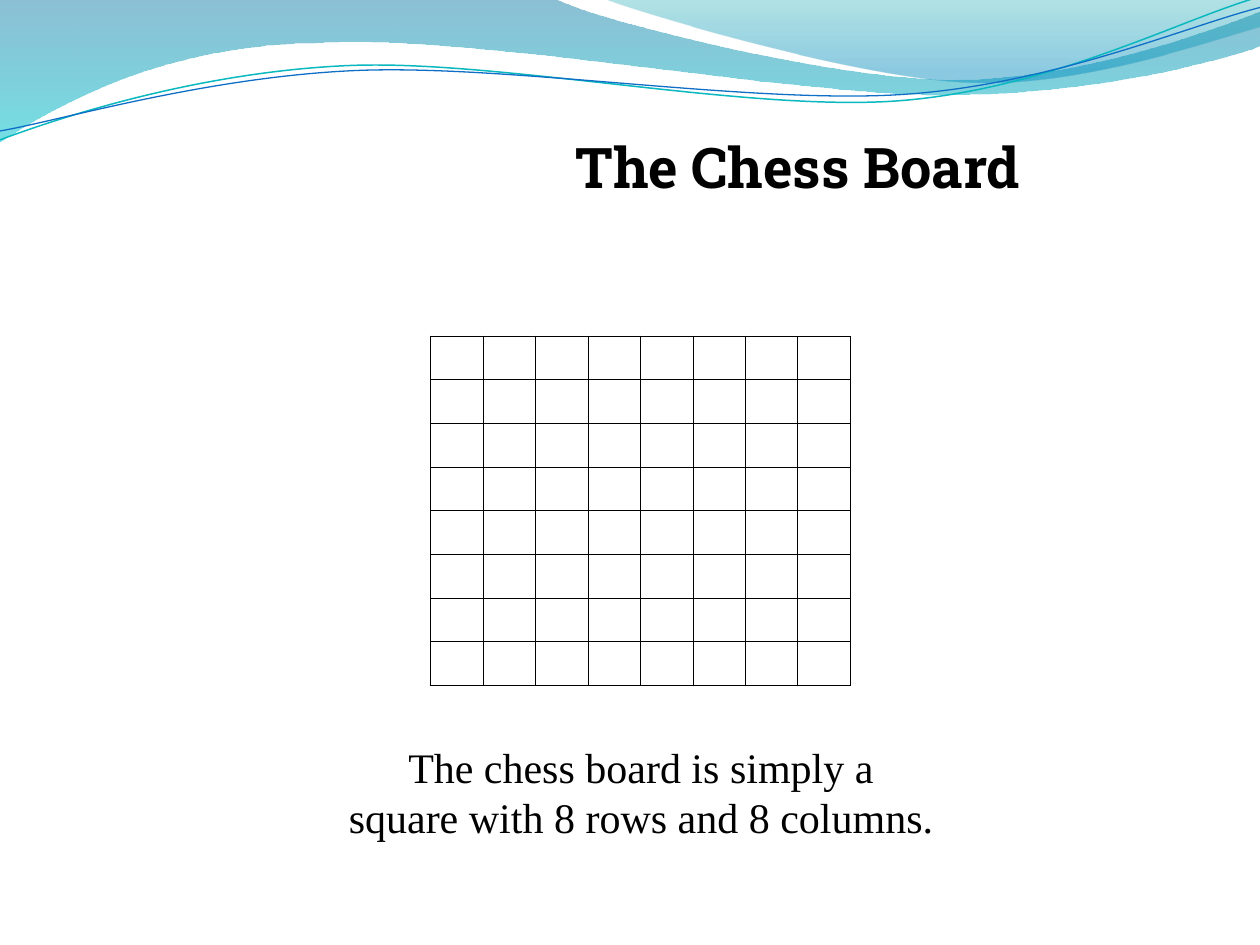
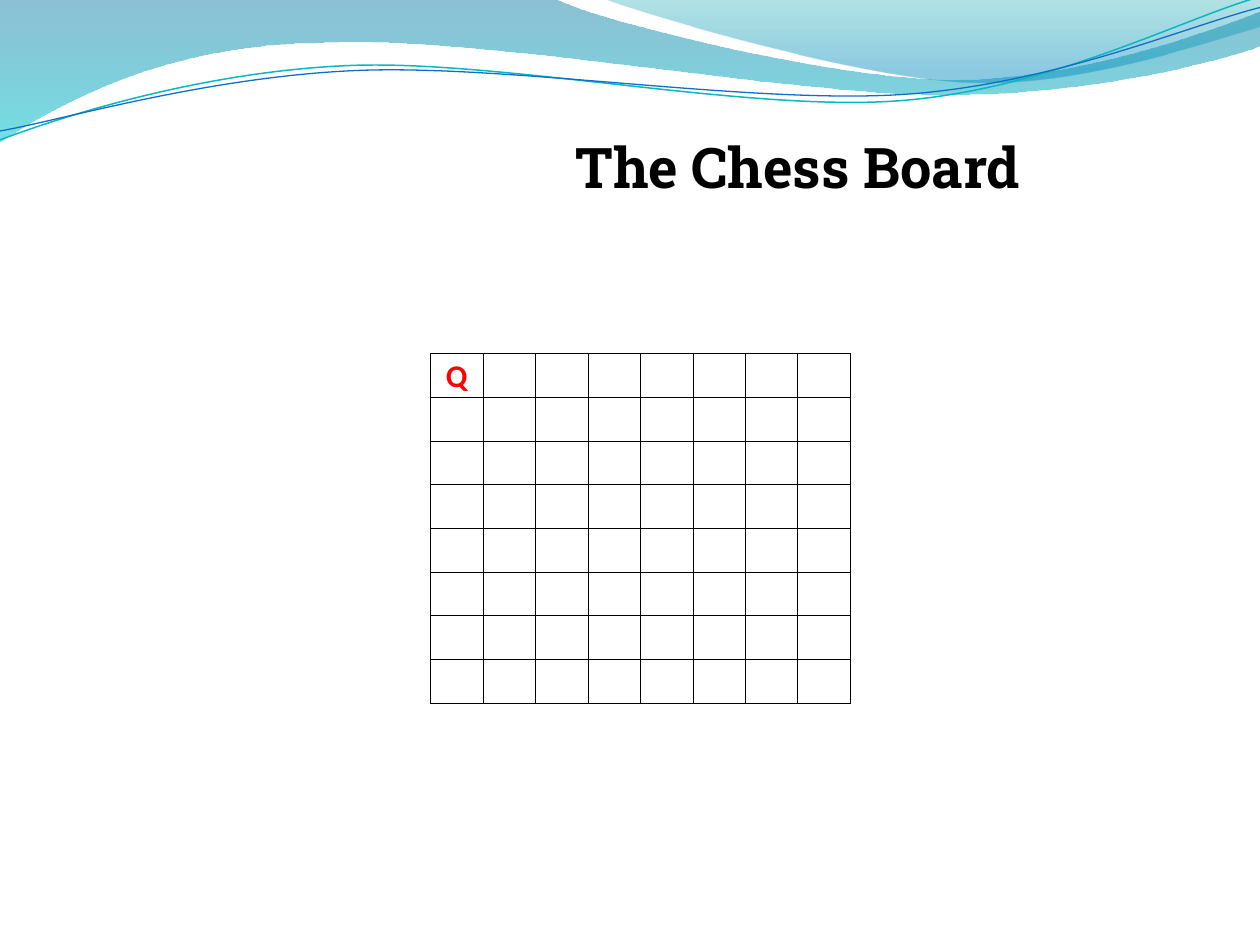
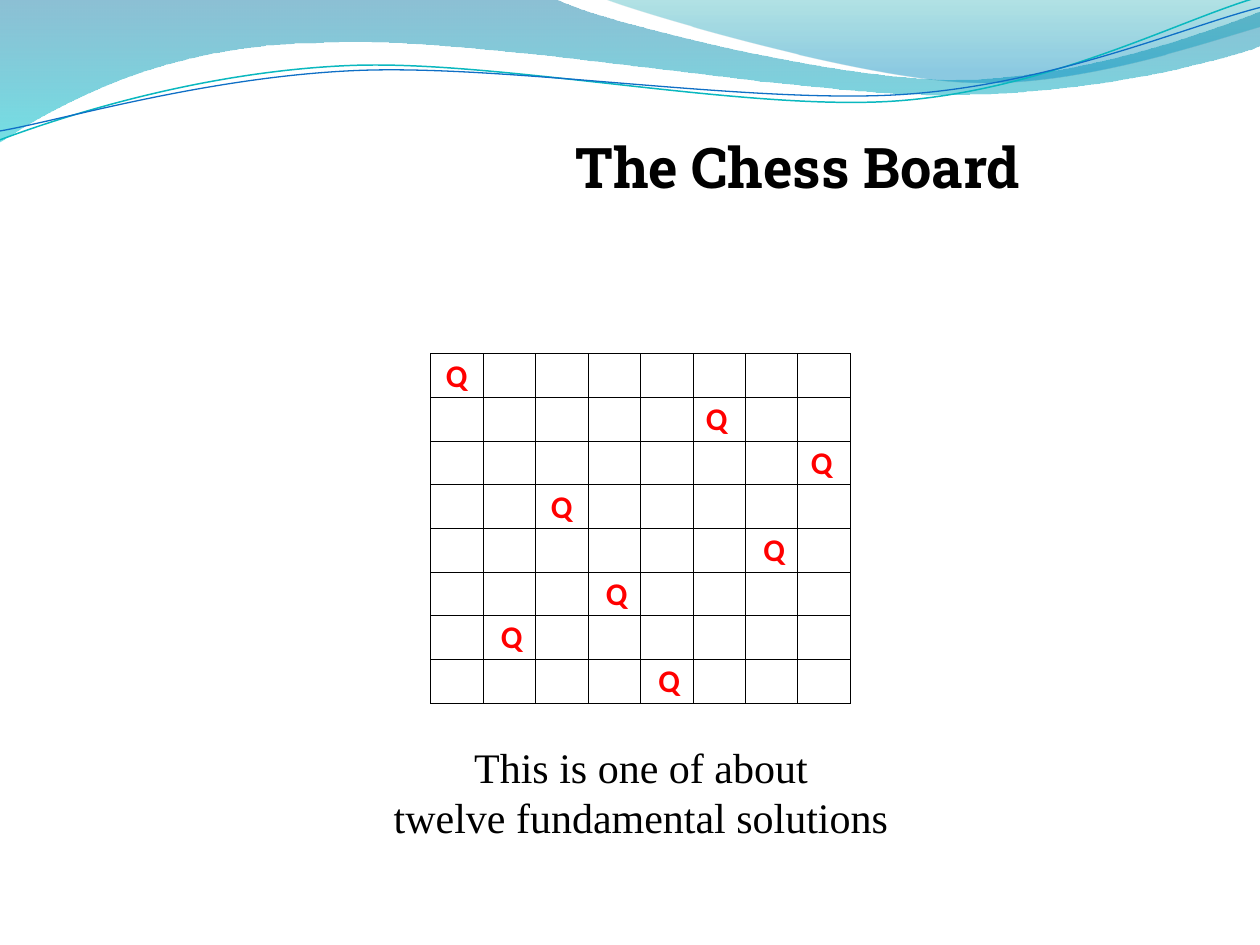
import math

from lxml import etree
from pptx import Presentation
from pptx import util as u
from pptx.dml.color import RGBColor
from pptx.enum import text
from pptx.oxml import ns

BLACK = RGBColor(0x00, 0x00, 0x00)
RED = RGBColor(0xFF, 0x00, 0x00)
DEEP_BLUE = RGBColor(0x00, 0x74, 0xA1)
AQUA = RGBColor(0x00, 0xC6, 0xCF)
TEAL = RGBColor(0x00, 0xA1, 0xA9)
SKY_BLUE = RGBColor(0x00, 0x8B, 0xBF)
LINE_TEAL = RGBColor(0x0A, 0xB8, 0xBF)
LINE_BLUE = RGBColor(0x0F, 0x6F, 0xC6)

SLIDE_WIDTH, SLIDE_HEIGHT = u.Inches(10), u.Inches(7.5)
COLUMN, ROW = SLIDE_WIDTH / 120, SLIDE_HEIGHT / 90
WAVE_UNIT = SLIDE_WIDTH / 10
RIPPLE_TILT = 2.7

BOARD_SIZE = 8
BOARD_LEFT = 41
SQUARE_WIDTH, SQUARE_HEIGHT = 5, 4.16
CAPTION_CENTRE, CAPTION_TOP, CAPTION_HEIGHT = 61.05, 70, 10.9
NUDGE = u.Inches(0.04)

FIRST_QUEEN = [(0, 0)]
SOLUTION = [(0, 0), (5, -1), (7, -1), (2, 0), (6, 1), (3, 1), (1, 1), (4, 1)]

BANDS = [
    ([[(0, -0.01)], [(4.4, -0.01)],
      [(4.76, 0.17), (6.64, 0.63), (7.58, 0.63)],
      [(8.53, 0.63), (9.58, 0.26), (10, 0.09)], [(10.01, 0.36)],
      [(9.83, 0.44), (8.7, 0.76), (7.46, 0.75)],
      [(6.22, 0.75), (3.82, 0.28), (2.57, 0.34)],
      [(1.29, 0.35), (0.46, 0.83), (-0.01, 1.13)]],
     [(0, DEEP_BLUE, 45), (1, AQUA, 55)]),
    ([[(4.79, -0.01)],
      [(5.09, 0.11), (6.82, 0.62), (7.69, 0.65)],
      [(8.56, 0.69), (9.61, 0.32), (10, 0.21)], [(10, 0)]],
     [(0, TEAL, 30), (0.8, SKY_BLUE, 45)]),
]
RIPPLES = [
    ([[(0, 1.11)],
      [(0.48, 0.93), (1.58, 0.57), (2.77, 0.52)],
      [(3.95, 0.47), (5.93, 0.89), (7.13, 0.8)],
      [(8.33, 0.71), (9.38, 0.15), (9.98, -0.02)]],
     (4.99, 0.58), LINE_TEAL, 0.85),
    ([[(0, 1.04)],
      [(0.47, 0.96), (1.64, 0.61), (2.83, 0.56)],
      [(4.03, 0.51), (5.97, 0.83), (7.17, 0.75)],
      [(8.36, 0.67), (9.41, 0.21), (10, 0.06)]],
     (5, 0.59), LINE_BLUE, 0.75),
]


def place(left, top, width, height):
    return [u.Emu(round(length)) for length in
            (left * COLUMN, top * ROW, width * COLUMN, height * ROW)]


def write(frame, words, font, size, color=BLACK, bold=False):
    for index, line in enumerate(words.split("\n")):
        paragraph = frame.add_paragraph() if index else frame.paragraphs[0]
        paragraph.alignment = text.PP_ALIGN.CENTER
        run = paragraph.add_run()
        run.text = line
        run.font.name = font
        run.font.size = u.Pt(size)
        run.font.bold = bold
        run.font.color.rgb = color


def rotate(point, centre, degrees):
    angle = math.radians(degrees)
    x, y = point[0] - centre[0], point[1] - centre[1]
    return (centre[0] + x * math.cos(angle) - y * math.sin(angle),
            centre[1] + x * math.sin(angle) + y * math.cos(angle))


def bend_lines(shape, segments):
    lines = iter(list(shape.element.iter(ns.qn("a:lnTo"))))
    for segment in segments[1:]:
        pieces = [next(lines) for _ in segment]
        if len(pieces) == 3:
            curve = etree.Element(ns.qn("a:cubicBezTo"))
            pieces[0].addprevious(curve)
            for piece in pieces:
                curve.append(piece[0])
                piece.getparent().remove(piece)


def add_outline(slide, segments, close):
    points = [(x * WAVE_UNIT, y * WAVE_UNIT) for segment in segments for x, y in segment]
    builder = slide.shapes.build_freeform(*points[0])
    builder.add_line_segments(points[1:], close=close)
    shape = builder.convert_to_shape()
    bend_lines(shape, segments)
    shape.shadow.inherit = False
    return shape


def add_band(slide, segments, stops):
    shape = add_outline(slide, segments, True)
    shape.line.fill.background()
    shape.fill.gradient()
    shape.fill.gradient_angle = 270
    for stop, (position, color, _) in zip(shape.fill.gradient_stops, stops):
        stop.position = position
        stop.color.rgb = color
    colors = shape.element.spPr.iter(ns.qn("a:srgbClr"))
    for color, (_, _, opacity) in zip(colors, stops):
        etree.SubElement(color, ns.qn("a:alpha"), val=str(opacity * 1000))
    return shape


def add_ripple(slide, segments, centre, color, width):
    level = [[rotate(point, centre, RIPPLE_TILT) for point in segment]
             for segment in segments]
    shape = add_outline(slide, level, False)
    shape.rotation = -RIPPLE_TILT
    shape.fill.background()
    shape.line.color.rgb = color
    shape.line.width = u.Pt(width)
    return shape


def decorate_layout(layout, slide):
    shapes = [add_band(slide, *band) for band in BANDS]
    shapes += [add_ripple(slide, *ripple) for ripple in RIPPLES]
    for shape in shapes:
        layout.shapes.element.append(shape.element)


def set_title(slide, words):
    title = slide.shapes.title
    title.left, title.top, title.width, title.height = place(38, 6.6, 76, 12.4)
    frame = title.text_frame
    frame.auto_size = text.MSO_AUTO_SIZE.NONE
    frame.vertical_anchor = text.MSO_ANCHOR.BOTTOM
    frame.margin_left = frame.margin_right = frame.margin_bottom = 0
    frame.margin_top = u.Inches(0.05)
    write(frame, words, "Roboto Slab", 32, bold=True)


def format_square(cell):
    cell.margin_left = cell.margin_right = cell.margin_top = u.Inches(0.01)
    cell.margin_bottom = 0
    cell.vertical_anchor = text.MSO_ANCHOR.MIDDLE
    properties = cell._tc.get_or_add_tcPr()
    for side in ("a:lnL", "a:lnR", "a:lnT", "a:lnB"):
        line = etree.SubElement(properties, ns.qn(side), w=str(u.Pt(0.5)))
        fill = etree.SubElement(line, ns.qn("a:solidFill"))
        etree.SubElement(fill, ns.qn("a:srgbClr"), val=str(BLACK))
    cell.fill.background()


def add_board(slide, top, queens):
    box = place(BOARD_LEFT, top, BOARD_SIZE * SQUARE_WIDTH, BOARD_SIZE * SQUARE_HEIGHT)
    table = slide.shapes.add_table(BOARD_SIZE, BOARD_SIZE, *box).table
    table.first_row = table.horz_banding = False
    for cell in table.iter_cells():
        format_square(cell)
    for row, (column, shift) in enumerate(queens):
        cell = table.cell(row, column)
        cell.margin_left += NUDGE * max(shift, 0)
        cell.margin_right += NUDGE * max(-shift, 0)
        write(cell.text_frame, "Q", "Calibri", 18, color=RED, bold=True)


def add_caption(slide, words, width):
    box = place(CAPTION_CENTRE - width / 2, CAPTION_TOP, width, CAPTION_HEIGHT)
    frame = slide.shapes.add_textbox(*box).text_frame
    frame.word_wrap = False
    frame.auto_size = text.MSO_AUTO_SIZE.SHAPE_TO_FIT_TEXT
    write(frame, words, "Times New Roman", 24)


def main():
    presentation = Presentation()
    presentation.slide_width, presentation.slide_height = SLIDE_WIDTH, SLIDE_HEIGHT
    layout = presentation.slide_layouts.get_by_name("Title Only")
    slides = [presentation.slides.add_slide(layout) for _ in range(3)]
    empty_board, first_queen, solution = slides
    decorate_layout(layout, empty_board)
    for slide in slides:
        set_title(slide, "The Chess Board")

    add_board(empty_board, 32, [])
    add_caption(empty_board,
                "The chess board is simply a\nsquare with 8 rows and 8 columns.", 58.6)
    add_board(first_queen, 33.7, FIRST_QUEEN)
    add_board(solution, 33.7, SOLUTION)
    add_caption(solution, "This is one of about\ntwelve fundamental solutions", 49.9)
    presentation.save("out.pptx")


if __name__ == "__main__":
    main()
